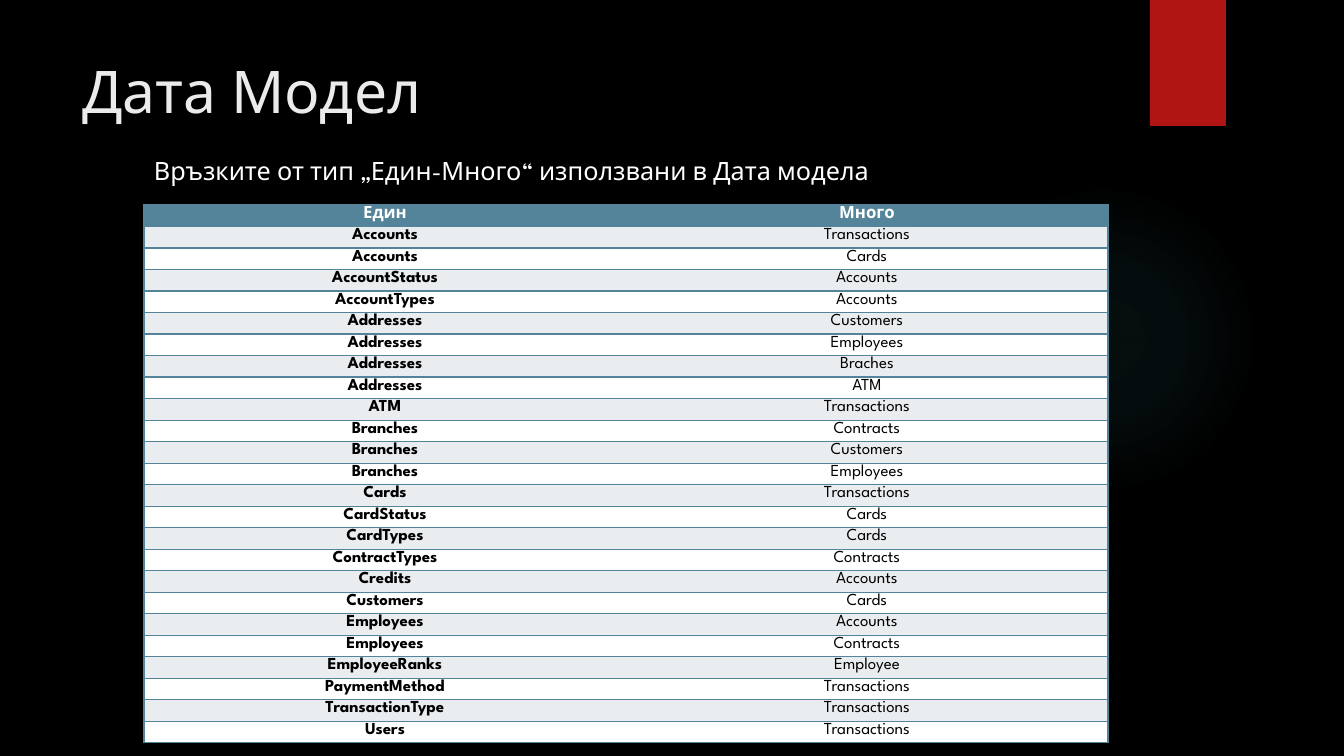
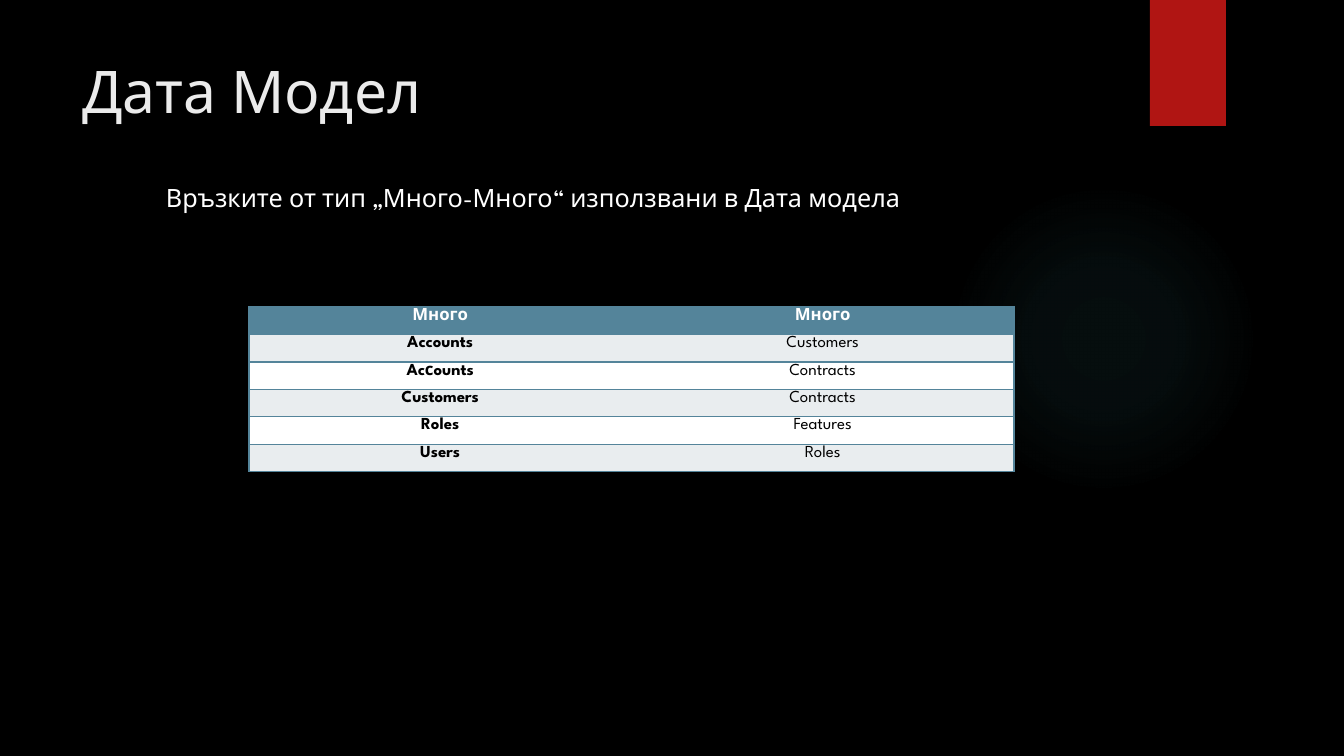
"""Build two slides that list the one-to-many and many-to-many links of a data model."""
from dataclasses import dataclass

from pptx import Presentation
from pptx.dml.color import RGBColor
from pptx.enum.shapes import MSO_SHAPE as Shape
from pptx.enum.text import MSO_ANCHOR as Anchor, MSO_AUTO_SIZE as AutoSize, PP_ALIGN as Align
from pptx.oxml import parse_xml
from pptx.oxml.ns import nsdecls, qn
from pptx.util import Emu, Pt

SLIDE_WIDTH, SLIDE_HEIGHT = 1344, 756
EMU_PER_PX = 12192000 / SLIDE_WIDTH
PLAIN_TABLE_STYLE = "{2D5ABB26-0587-4C30-8999-92F81FD0307C}"


@dataclass(frozen=True)
class Theme:
    """Colours, font and type sizes of the deck."""
    font: str = "League Spartan"
    background: str = "000000"
    glow: str = "50B9C1"
    accent: str = "B01513"
    title: str = "EBEBEB"
    light: str = "FFFFFF"
    dark: str = "000000"
    header: str = "54849A"
    band: str = "E9EDEF"
    title_size: int = 42
    caption_size: int = 18
    table_size: int = 12


THEME = Theme()

ONE_TO_MANY = [
    ("Един", "Много"),
    ("Accounts", "Transactions"),
    ("Accounts", "Cards"),
    ("AccountStatus", "Accounts"),
    ("AccountTypes", "Accounts"),
    ("Addresses", "Customers"),
    ("Addresses", "Employees"),
    ("Addresses", "Braches"),
    ("Addresses", "ATM"),
    ("ATM", "Transactions"),
    ("Branches", "Contracts"),
    ("Branches", "Customers"),
    ("Branches", "Employees"),
    ("Cards", "Transactions"),
    ("CardStatus", "Cards"),
    ("CardTypes", "Cards"),
    ("ContractTypes", "Contracts"),
    ("Credits", "Accounts"),
    ("Customers", "Cards"),
    ("Employees", "Accounts"),
    ("Employees", "Contracts"),
    ("EmployeeRanks", "Employee"),
    ("PaymentMethod", "Transactions"),
    ("TransactionType", "Transactions"),
    ("Users", "Transactions"),
]

MANY_TO_MANY = [
    ("Много", "Много"),
    ("Accounts", "Customers"),
    ("Acсounts", "Contracts"),
    ("Customers", "Contracts"),
    ("Roles", "Features"),
    ("Users", "Roles"),
]


def px(length):
    """Turn pixels into EMU."""
    return Emu(round(length * EMU_PER_PX))


def box(*lengths):
    """Turn left, top, width and height in pixels into EMU."""
    return [px(length) for length in lengths]


def paint(fill, colour):
    """Fill with one solid colour."""
    fill.solid()
    fill.fore_color.rgb = RGBColor.from_string(colour)


def add_run(paragraph, text, size, colour, bold=False):
    """Add a run in the theme font."""
    run = paragraph.add_run()
    run.text = text
    run.font.name = THEME.font
    run.font.size = Pt(size)
    run.font.bold = bold
    run.font.color.rgb = RGBColor.from_string(colour)


def add_plain_shape(slide, kind, *bounds):
    """Add a shape without outline or inherited shadow."""
    shape = slide.shapes.add_shape(kind, *box(*bounds))
    shape.shadow.inherit = False
    shape.line.fill.background()
    return shape


def add_glow(slide):
    """Add the faint round glow."""
    glow = add_plain_shape(slide, Shape.OVAL, 949, 184, 310, 310)
    stops = "".join(
        f'<a:gs pos="{position * 1000}"><a:srgbClr val="{THEME.glow}">'
        f'<a:alpha val="{alpha * 1000}"/></a:srgbClr></a:gs>'
        for position, alpha in ((0, 7), (36, 6), (69, 0)))
    gradient = parse_xml(
        f'<a:gradFill {nsdecls("a")} rotWithShape="1"><a:gsLst>{stops}</a:gsLst>'
        '<a:path path="circle"><a:fillToRect l="50000" t="50000" r="50000" b="50000"/>'
        '</a:path></a:gradFill>')
    glow.element.spPr.insert(2, gradient)
    return glow


def add_accent_bar(slide):
    """Add the bar at the top edge with its soft shadow."""
    bar = add_plain_shape(slide, Shape.RECTANGLE, 1150, 0, 76, 126)
    paint(bar.fill, THEME.accent)
    shadow = parse_xml(
        f'<a:outerShdw {nsdecls("a")} blurRad="{Pt(3)}" dist="{Pt(2)}" dir="5400000" '
        f'rotWithShape="0"><a:srgbClr val="{THEME.dark}"><a:alpha val="45000"/>'
        '</a:srgbClr></a:outerShdw>')
    bar.element.spPr.find(qn("a:effectLst")).append(shadow)
    return bar


def decorate_layout(layout, slide):
    """Give the layout its background and move the shared shapes onto it."""
    paint(layout.background.fill, THEME.background)
    for index, shape in enumerate((add_glow(slide), add_accent_bar(slide))):
        layout.shapes.element.insert(2 + index, shape.element)


def add_title(slide, text):
    """Place and fill the title placeholder."""
    title = slide.shapes.title
    title.left, title.top, title.width, title.height = box(72, 50, 1037, 154)
    frame = title.text_frame
    frame.vertical_anchor = Anchor.TOP
    frame.auto_size = AutoSize.NONE
    paragraph = frame.paragraphs[0]
    paragraph.alignment = Align.LEFT
    add_run(paragraph, text, THEME.title_size, THEME.title)


def add_caption(slide, text, *bounds):
    """Add the line of text above the table."""
    frame = slide.shapes.add_textbox(*box(*bounds)).text_frame
    frame.word_wrap = False
    frame.auto_size = AutoSize.SHAPE_TO_FIT_TEXT
    add_run(frame.paragraphs[0], text, THEME.caption_size, THEME.light)


def add_borders(cell, sides):
    """Draw the cell borders named by the letters in sides."""
    properties = cell._tc.get_or_add_tcPr()
    for side in sides:
        properties.append(parse_xml(
            f'<a:ln{side} {nsdecls("a")} w="{Pt(1)}"><a:solidFill>'
            f'<a:srgbClr val="{THEME.header}"/></a:solidFill></a:ln{side}>'))


def fill_cell(cell, text, row, column):
    """Write and style one cell by its place in the table."""
    is_header = row == 0
    cell.margin_left = cell.margin_right = px(7)
    cell.margin_top = cell.margin_bottom = 0
    add_borders(cell, "RTB" if column else "LTB")
    paint(cell.fill, THEME.header if is_header else THEME.band if row % 2 else THEME.light)
    paragraph = cell.text_frame.paragraphs[0]
    paragraph.alignment = Align.CENTER
    paragraph.line_spacing = Pt(THEME.table_size)
    add_run(paragraph, text, THEME.table_size, THEME.light if is_header else THEME.dark,
            bold=is_header or column == 0)


def add_link_table(slide, rows, *bounds):
    """Add a two-column table of linked entities with equal rows."""
    frame = slide.shapes.add_table(len(rows), 2, *box(*bounds))
    table = frame.table
    table.first_row = table.horz_banding = False
    table._tbl.tblPr.find(qn("a:tableStyleId")).text = PLAIN_TABLE_STYLE
    for row, texts in enumerate(rows):
        for column, text in enumerate(texts):
            fill_cell(table.cell(row, column), text, row, column)


def main():
    """Build and save the presentation."""
    presentation = Presentation()
    presentation.slide_width, presentation.slide_height = box(SLIDE_WIDTH, SLIDE_HEIGHT)
    layout = presentation.slide_layouts[5]
    one_slide, many_slide = [presentation.slides.add_slide(layout) for _ in range(2)]
    decorate_layout(layout, one_slide)

    add_title(one_slide, "Дата Модел")
    add_link_table(one_slide, ONE_TO_MANY, 144, 205, 964, 538)
    add_caption(one_slide, "Връзките от тип „Един-Много“ използвани в Дата модела",
                144, 150, 744, 40)

    add_title(many_slide, "Дата Модел")
    add_link_table(many_slide, MANY_TO_MANY, 249, 307, 765, 165)
    add_caption(many_slide, "Връзките от тип „Много-Много“ използвани в Дата модела",
                156, 177, 764, 40)

    presentation.save("out.pptx")


if __name__ == "__main__":
    main()
